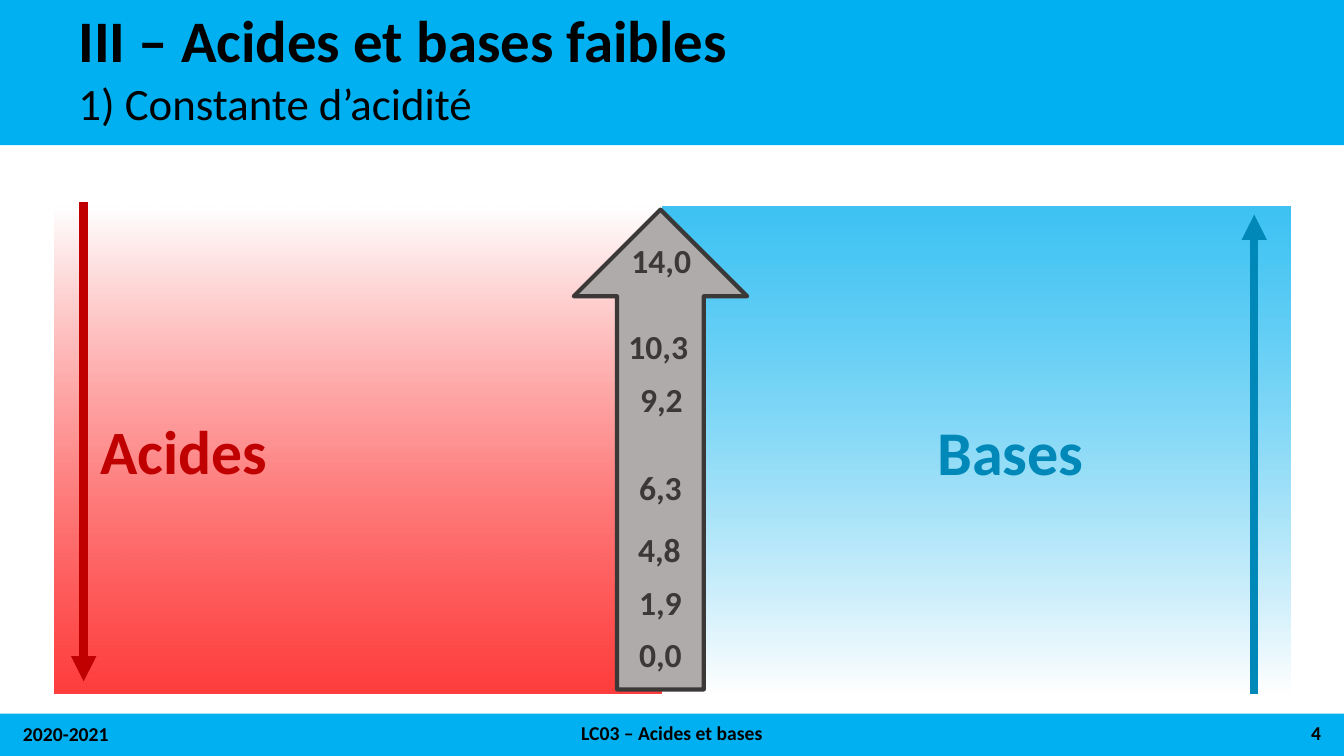
import pptx
import pptx.dml.color
import pptx.enum.shapes
import pptx.enum.text
import pptx.oxml
import pptx.oxml.ns
import pptx.util
from pptx.util import Inches

FONT = "Calibri"
COLOURS = {
    "band": "00B0F0",
    "black": "000000",
    "white": "FFFFFF",
    "acid": "FF0000",
    "acid_dark": "C00000",
    "base": "00B0F0",
    "base_dark": "0088B8",
    "scale": "AFABAB",
    "scale_dark": "3B3838",
}
SHAPES = pptx.enum.shapes.MSO_SHAPE
ALIGN = pptx.enum.text.PP_ALIGN
ANCHOR = pptx.enum.text.MSO_ANCHOR

# Values on the scale: text, left, top
PKA_VALUES = [
    ("14,0", 6.11, 2.32),
    ("10,3", 6.08, 3.17),
    ("9,2", 6.11, 3.7),
    ("6,3", 6.1, 4.57),
    ("4,8", 6.09, 5.19),
    ("1,9", 6.1, 5.71),
    ("0,0", 6.1, 6.23),
]


def colour(name):
    return pptx.dml.color.RGBColor.from_string(COLOURS[name])


def add_element(parent, tag, **attributes):
    element = pptx.oxml.parse_xml(f"<a:{tag} {pptx.oxml.ns.nsdecls('a')}/>")
    for key, value in attributes.items():
        element.set(key, value)
    parent.append(element)


def add_text(page, text, left, top, width, height, size, color="black",
             bold=True, align=ALIGN.LEFT, anchor=ANCHOR.MIDDLE, spacing=1.0):
    box = page.shapes.add_textbox(
        Inches(left), Inches(top), Inches(width), Inches(height))
    frame = box.text_frame
    frame.word_wrap = True
    frame.vertical_anchor = anchor
    para = frame.paragraphs[0]
    para.alignment = align
    para.line_spacing = spacing
    span = para.add_run()
    span.text = text
    span.font.name = FONT
    span.font.size = pptx.util.Pt(size)
    span.font.bold = bold
    span.font.color.rgb = colour(color)


def add_block(page, kind, left, top, width, height, fill=None):
    block = page.shapes.add_shape(
        kind, Inches(left), Inches(top), Inches(width), Inches(height))
    block.shadow.inherit = False
    block.line.fill.background()
    if fill:
        block.fill.solid()
        block.fill.fore_color.rgb = colour(fill)
    return block


def add_fading_panel(page, left, width, color, angle):
    """Fade from white to a 76 % opaque colour along the angle."""
    panel = add_block(page, SHAPES.RECTANGLE, left, 2.05, width, 4.83)
    panel.fill.gradient()
    panel.fill.gradient_angle = angle
    start, end = panel.fill.gradient_stops
    start.position, end.position = 0, 1
    start.color.rgb = colour("white")
    end.color.rgb = colour(color)
    stops = panel.fill._xPr.findall(".//" + pptx.oxml.ns.qn("a:srgbClr"))
    add_element(stops[-1], "alpha", val="76000")


def add_arrow(page, x, start, end, color):
    arrow = page.shapes.add_connector(
        pptx.enum.shapes.MSO_CONNECTOR.STRAIGHT,
        Inches(x), Inches(start), Inches(x), Inches(end))
    arrow.line.color.rgb = colour(color)
    arrow.line.width = pptx.util.Pt(6)
    add_element(arrow.line._get_or_add_ln(), "tailEnd", type="triangle")
    add_element(arrow._element.spPr, "effectLst")


def main():
    deck = pptx.Presentation()
    deck.slide_width = Inches(13.33)
    deck.slide_height = Inches(7.5)
    page = deck.slides.add_slide(deck.slide_layouts[6])

    # Header and footer bands
    add_block(page, SHAPES.RECTANGLE, 0, -0.01, 13.33, 1.45, "band")
    add_block(page, SHAPES.RECTANGLE, 0, 7.08, 13.33, 0.42, "band")
    add_text(page, "III – Acides et bases faibles",
             0.68, 0.11, 11.74, 0.65, 42, spacing=0.9)
    add_text(page, "1) Constante d’acidité", 0.68, 0.8, 11.74, 0.55, 32,
             bold=False, anchor=ANCHOR.TOP, spacing=0.8)
    add_text(page, "2020-2021", 0.13, 7.08, 3, 0.4, 14)
    add_text(page, "LC03 – Acides et bases", 3.13, 7.07, 7.07, 0.4, 14,
             align=ALIGN.CENTER)
    add_text(page, "4", 10.2, 7.07, 3, 0.4, 14, align=ALIGN.RIGHT)

    # Base and acid panels
    add_fading_panel(page, 6.55, 6.25, "base", 90)
    add_fading_panel(page, 0.54, 6.02, "acid", 270)

    # Central scale
    scale = add_block(page, SHAPES.UP_ARROW, 5.69, 2.08, 1.72, 4.76, "scale")
    scale.line.color.rgb = colour("scale_dark")
    scale.line.width = pptx.util.Pt(3)
    for value, left, top in PKA_VALUES:
        add_text(page, value, left, top, 0.9, 0.52, 24, "scale_dark",
                 align=ALIGN.CENTER)

    # Names and strength arrows
    add_text(page, "Bases", 9.2, 4.09, 3.27, 0.77, 44.4, "base_dark")
    add_text(page, "Acides", 0.9, 4.08, 2.71, 0.77, 44, "acid_dark")
    add_arrow(page, 12.44, 6.89, 2.13, "base_dark")
    add_arrow(page, 0.83, 2, 6.76, "acid_dark")

    deck.save("out.pptx")


if __name__ == "__main__":
    main()
